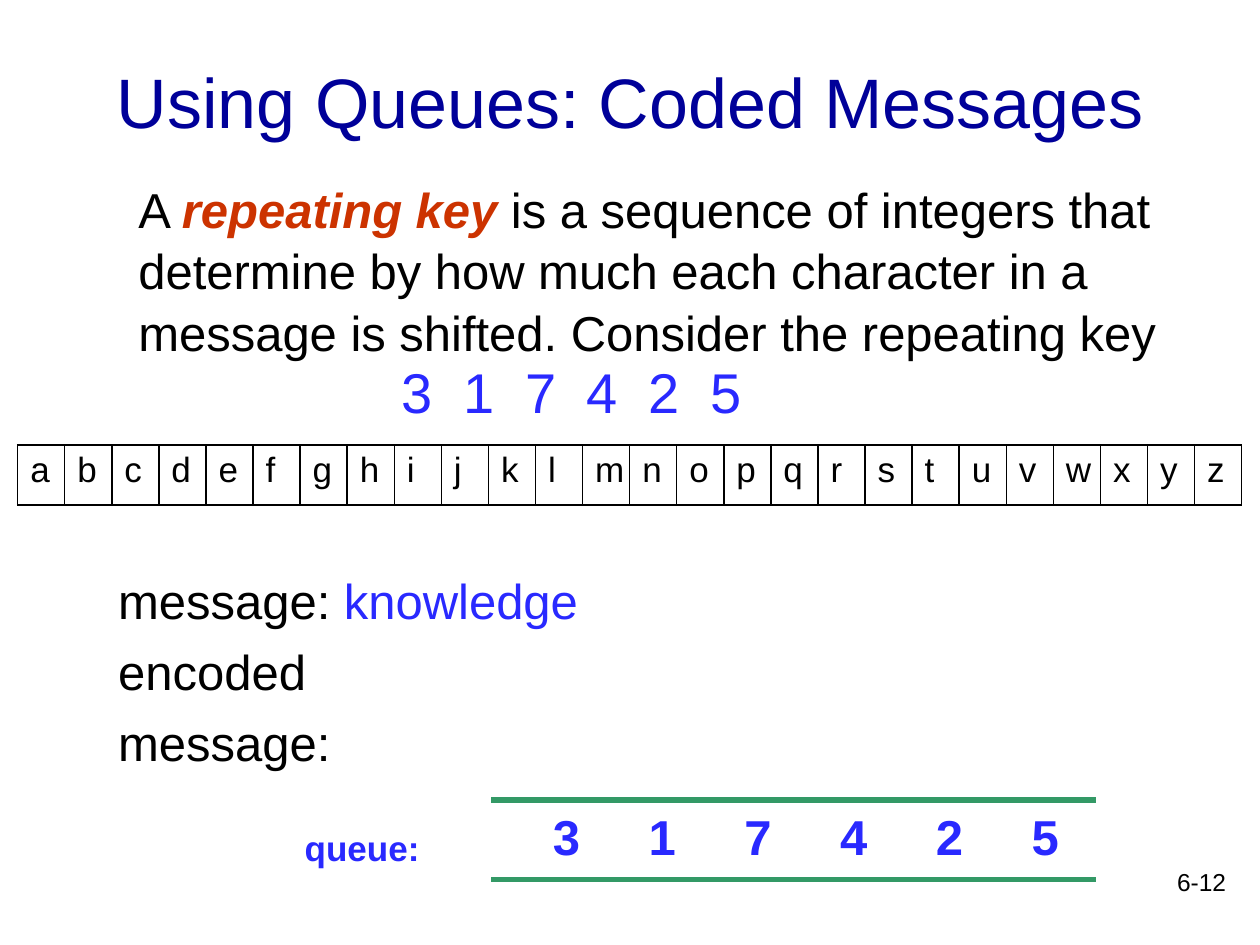
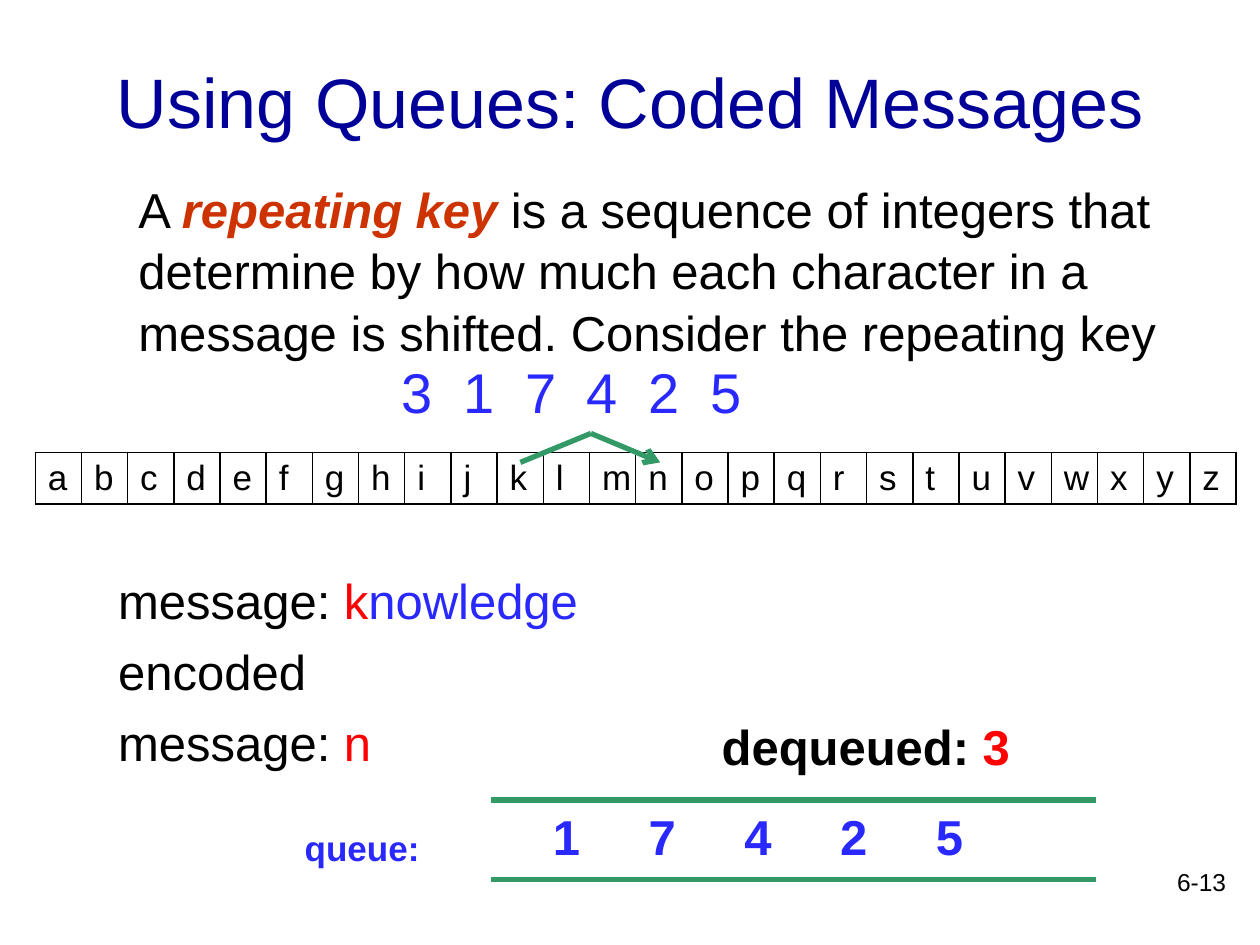
from dataclasses import dataclass

from lxml.etree import SubElement
from pptx import Presentation
from pptx.dml.color import RGBColor
from pptx.enum.shapes import MSO_CONNECTOR
from pptx.enum.text import MSO_ANCHOR, PP_ALIGN
from pptx.oxml.ns import qn
from pptx.util import Inches, Pt


@dataclass(frozen=True)
class Theme:
    font: str = "Arial"
    title: str = "000099"
    ink: str = "000000"
    paper: str = "FFFFFF"
    term: str = "CC3300"
    blue: str = "2929FF"
    red: str = "FF0000"
    green: str = "339966"
    title_size: int = 40
    key_size: int = 32
    body_size: int = 28
    small_size: int = 20
    footer_size: int = 14
    line_width: int = 3
    leading: float = 1.04


THEME = Theme()
ALPHABET = "abcdefghijklmnopqrstuvwxyz"
KEY = "317425"
WORD = "knowledge"


class Deck:
    def __init__(self, theme):
        self.theme = theme
        self.prs = Presentation()
        self.prs.slide_width, self.prs.slide_height = Inches(10), Inches(7.5)
        self.s = None

    def style(self, r, size, color, bold=False, italic=False):
        r.font.name = self.theme.font
        r.font.size = Pt(size)
        r.font.color.rgb = RGBColor.from_string(color)
        r.font.bold, r.font.italic = bold, italic

    def new_slide(self, title):
        self.s = self.prs.slides.add_slide(self.prs.slide_layouts[5])
        sp = self.s.shapes.title
        sp.left, sp.top = Inches(0.75), Inches(0.17)
        sp.width, sp.height = Inches(8.5), Inches(1.25)
        tf = sp.text_frame
        tf.text = title
        tf.vertical_anchor = MSO_ANCHOR.MIDDLE
        p = tf.paragraphs[0]
        p.alignment = PP_ALIGN.CENTER
        self.style(p.runs[0], self.theme.title_size, self.theme.title)

    def text(self, x, y, w, h, paragraphs, size, bold=False, align=PP_ALIGN.LEFT,
             leading=1.0, gap=0):
        """Each paragraph is a list of (text, color) or (text, color, bold, italic)."""
        tf = self.s.shapes.add_textbox(Inches(x), Inches(y), Inches(w), Inches(h)).text_frame
        tf.word_wrap = True
        for i, parts in enumerate(paragraphs):
            p = tf.add_paragraph() if i else tf.paragraphs[0]
            p.alignment = align
            p.line_spacing = leading
            if i:
                p.space_before = Pt(gap)
            for words, color, *emphasis in parts:
                r = p.add_run()
                r.text = words
                self.style(r, size, color, *(emphasis or [bold]))
        return tf

    def digits(self, x, y, w, h, values, step, size, bold=False):
        """A row of values set apart by equal tab stops."""
        tf = self.text(x, y, w, h, [[]], size)
        p = tf.paragraphs[0]
        tabs = SubElement(p._p.get_or_add_pPr(), qn("a:tabLst"))
        for i in range(1, len(values)):
            SubElement(tabs, qn("a:tab"), pos=str(Inches(step * i)), algn="l")
        r = p.add_run()
        r.text = "\t".join(values)
        self.style(r, size, self.theme.blue, bold)

    def line(self, x1, y1, x2, y2, arrow=False):
        sp = self.s.shapes.add_connector(
            MSO_CONNECTOR.STRAIGHT, Inches(x1), Inches(y1), Inches(x2), Inches(y2))
        sp.line.color.rgb = RGBColor.from_string(self.theme.green)
        sp.line.width = Pt(self.theme.line_width)
        if arrow:
            SubElement(sp.line._get_or_add_ln(), qn("a:tailEnd"), type="arrow")
        SubElement(sp._element.spPr, qn("a:effectLst"))

    def border(self, cell):
        tcPr = cell._tc.get_or_add_tcPr()
        for i, side in enumerate(("lnL", "lnR", "lnT", "lnB")):
            ln = tcPr.makeelement(qn(f"a:{side}"), {"w": str(Pt(1))})
            fill = SubElement(ln, qn("a:solidFill"))
            SubElement(fill, qn("a:srgbClr"), val=self.theme.ink)
            tcPr.insert(i, ln)

    def letter_strip(self, x, y, w, h):
        count = len(ALPHABET)
        table = self.s.shapes.add_table(
            1, count, Inches(x), Inches(y), Inches(w), Inches(h)).table
        table.first_row = table.horz_banding = False
        for column, cell, letter in zip(table.columns, table.rows[0].cells, ALPHABET):
            column.width = Inches(w / count)
            cell.text = letter
            cell.margin_right = cell.margin_bottom = 0
            cell.fill.solid()
            cell.fill.fore_color.rgb = RGBColor.from_string(self.theme.paper)
            self.border(cell)
            self.style(cell.text_frame.paragraphs[0].runs[0],
                       self.theme.small_size, self.theme.ink)


def coded_slide(d, number, strip, message, encoded, queue):
    t = d.theme
    d.new_slide("Using Queues: Coded Messages")
    d.text(7.75, 6.83, 2.08, 0.5, [[(number, t.ink)]], t.footer_size, align=PP_ALIGN.RIGHT)

    # Definition and repeating key
    d.text(1, 1.36, 8.58, 1.5, [[
        ("A ", t.ink),
        ("repeating key", t.term, True, True),
        (" is a sequence of integers that determine by how much each character "
         "in a message is shifted. Consider the repeating key", t.ink),
    ]], t.body_size, leading=t.leading)
    d.digits(3.09, 2.79, 3.2, 0.65, KEY, 0.49, t.key_size)

    # Alphabet and messages
    d.letter_strip(*strip)
    d.text(0.84, 4.46, 4.7, 1.7, [
        [("message: ", t.ink)] + message,
        [("encoded", t.ink)],
        [("message: " if encoded else "message:", t.ink)] + encoded,
    ], t.body_size, leading=t.leading, gap=5.6)

    # Queue between its two rails
    for y in (6.35, 6.98):
        d.line(3.9, y, 8.7, y)
    d.digits(4.29, 6.35, 4.4, 0.57, queue, 0.76, t.body_size, bold=True)
    d.text(2.32, 6.51, 1.3, 0.44, [[("queue:", t.blue)]], t.small_size, bold=True)


def main():
    d = Deck(THEME)
    t = d.theme

    # Full queue
    coded_slide(d, "6-12", (0.14, 3.53, 9.72, 0.48), [(WORD, t.blue)], [], KEY)

    # First letter shifted by the dequeued value
    coded_slide(d, "6-13", (0.28, 3.59, 9.53, 0.41),
                [(WORD[0], t.red), (WORD[1:], t.blue)], [("n", t.red)], KEY[1:])
    d.text(5.63, 5.64, 2.7, 0.57, [[("dequeued: ", t.ink), (KEY[0], t.red)]],
           t.body_size, bold=True)
    d.line(4.13, 3.67, 4.69, 3.44)
    d.line(4.69, 3.44, 5.24, 3.67, arrow=True)

    d.prs.save("out.pptx")


if __name__ == "__main__":
    main()
